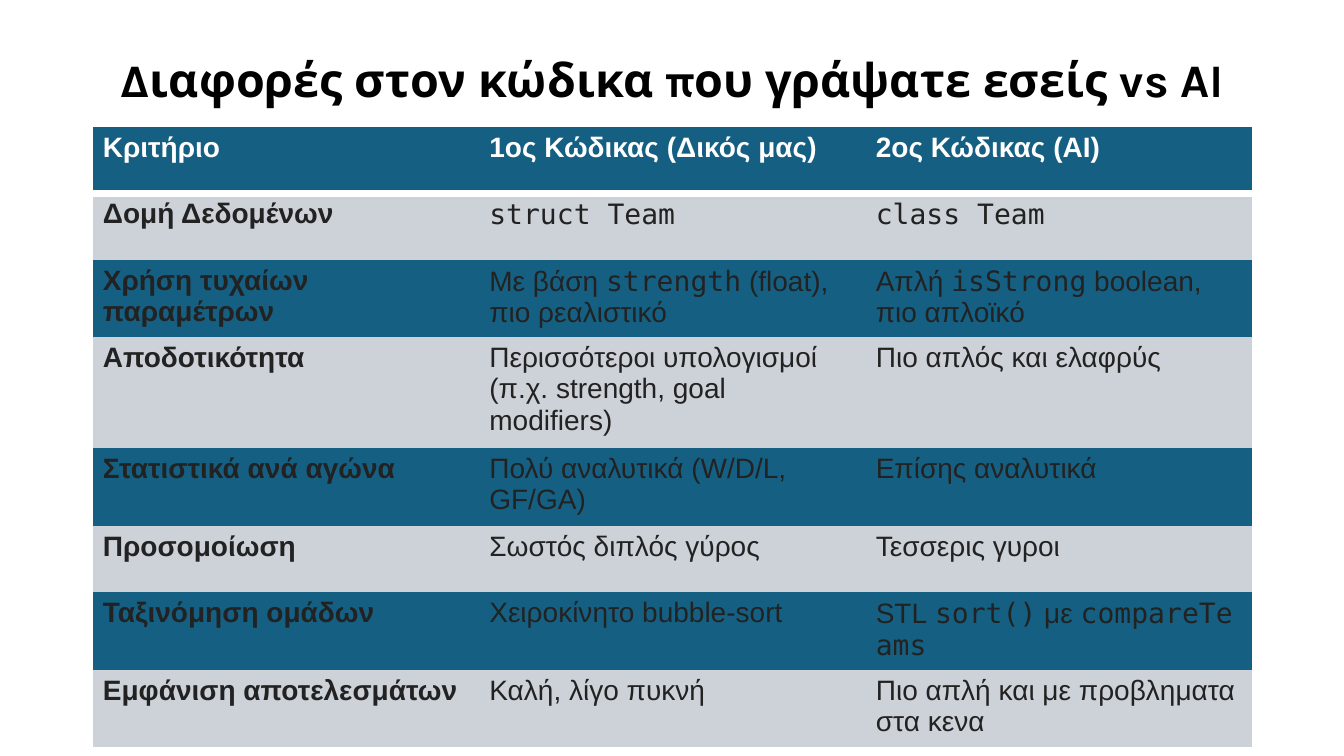
from dataclasses import dataclass

from lxml import etree
from pptx import Presentation
from pptx.dml.color import RGBColor
from pptx.enum.text import MSO_ANCHOR, PP_ALIGN
from pptx.oxml.ns import qn
from pptx.util import Inches, Pt

CENTER = PP_ALIGN.CENTER
MIDDLE = MSO_ANCHOR.MIDDLE
BLANK_LAYOUT = 6
NO_STYLE = "{2D5ABB26-0587-4C30-8999-92F81FD0307C}"
NBSP = chr(160)


@dataclass(frozen=True)
class Theme:
    blue: str = "156082"
    grey: str = "CCD2D8"
    white: str = "FFFFFF"
    ink: str = "222222"
    black: str = "000000"
    title_font: str = "Karla"
    body_font: str = "Arial"
    code_font: str = "DejaVu Sans Mono"
    title_size: float = 33.3
    body_size: float = 20
    rule_width: float = 6


THEME = Theme()

TITLE = "Διαφορές στον κώδικα που γράψατε εσείς vs AI"
COMPARISON = [
    ("Κριτήριο", "1ος Κώδικας (Δικός μας)", "2ος Κώδικας (ΑΙ)"),
    ("Δομή Δεδομένων", "`struct Team`", "`class Team`"),
    ("Χρήση τυχαίων παραμέτρων",
     "Με βάση `strength` (float), πιο ρεαλιστικό",
     "Απλή `isStrong` boolean, πιο απλοϊκό"),
    ("Αποδοτικότητα",
     "Περισσότεροι υπολογισμοί (π.χ. strength, goal modifiers)",
     "Πιο απλός και ελαφρύς"),
    ("Στατιστικά ανά αγώνα", "Πολύ αναλυτικά (W/D/L, GF/GA)",
     "Επίσης αναλυτικά"),
    ("Προσομοίωση", "Σωστός διπλός γύρος", "Τεσσερις γυροι"),
    ("Ταξινόμηση ομάδων", "Χειροκίνητο bubble-sort",
     "STL `sort()` με `compareTeams`"),
    ("Εμφάνιση αποτελεσμάτων", "Καλή, λίγο πυκνή",
     "Πιο απλή και με προβληματα στα κενα"),
]
ROW_HEIGHTS = [0.66, 0.66, 0.76, 1.07, 0.75, 0.66, 0.77, 0.75]


def write_text(frame, text, *, font, size, color, bold=False, align=None,
               line_spacing=None):
    paragraph = frame.paragraphs[0]
    paragraph.alignment = align
    paragraph.line_spacing = line_spacing
    marked = text.replace(" `", NBSP + "`").replace("` ", "`" + NBSP)
    for index, part in enumerate(marked.split("`")):
        if not part:
            continue
        run = paragraph.add_run()
        run.text = part
        run.font.name = THEME.code_font if index % 2 else font
        run.font.size = Pt(size)
        run.font.bold = bold
        run.font.color.rgb = RGBColor.from_string(color)


def add_title(slide, text):
    title = slide.shapes.add_textbox(
        Inches(0.92), Inches(0.4), Inches(11.5), Inches(0.87))
    frame = title.text_frame
    frame.word_wrap = True
    frame.vertical_anchor = MIDDLE
    write_text(frame, text, font=THEME.title_font, size=THEME.title_size,
               color=THEME.black, bold=True, align=CENTER, line_spacing=0.8)


def add_bottom_rule(cell, color, width):
    rule = etree.Element(qn("a:lnB"), w=str(Pt(width)))
    fill = etree.SubElement(rule, qn("a:solidFill"))
    etree.SubElement(fill, qn("a:srgbClr"), val=color)
    cell._tc.get_or_add_tcPr().insert(0, rule)


def add_comparison(slide, rows, heights):
    frame = slide.shapes.add_table(
        len(rows), len(rows[0]),
        Inches(0.92), Inches(1.26), Inches(11.5), Inches(sum(heights)))
    table = frame.table
    table.first_row = False
    table.horz_banding = False
    table._tbl.tblPr.find(qn("a:tableStyleId")).text = NO_STYLE
    for row_index, (texts, height) in enumerate(zip(rows, heights)):
        table.rows[row_index].height = Inches(height)
        is_header = row_index == 0
        for column_index, text in enumerate(texts):
            cell = table.cell(row_index, column_index)
            cell.fill.solid()
            cell.fill.fore_color.rgb = RGBColor.from_string(
                THEME.grey if row_index % 2 else THEME.blue)
            write_text(cell.text_frame, text, font=THEME.body_font,
                       size=THEME.body_size,
                       color=THEME.white if is_header else THEME.ink,
                       bold=is_header or column_index == 0)
            if is_header:
                add_bottom_rule(cell, THEME.white, THEME.rule_width)


def main():
    deck = Presentation()
    deck.slide_width = Inches(13.33)
    deck.slide_height = Inches(7.5)
    slide = deck.slides.add_slide(deck.slide_layouts[BLANK_LAYOUT])
    add_title(slide, TITLE)
    add_comparison(slide, COMPARISON, ROW_HEIGHTS)
    deck.save("out.pptx")


if __name__ == "__main__":
    main()
